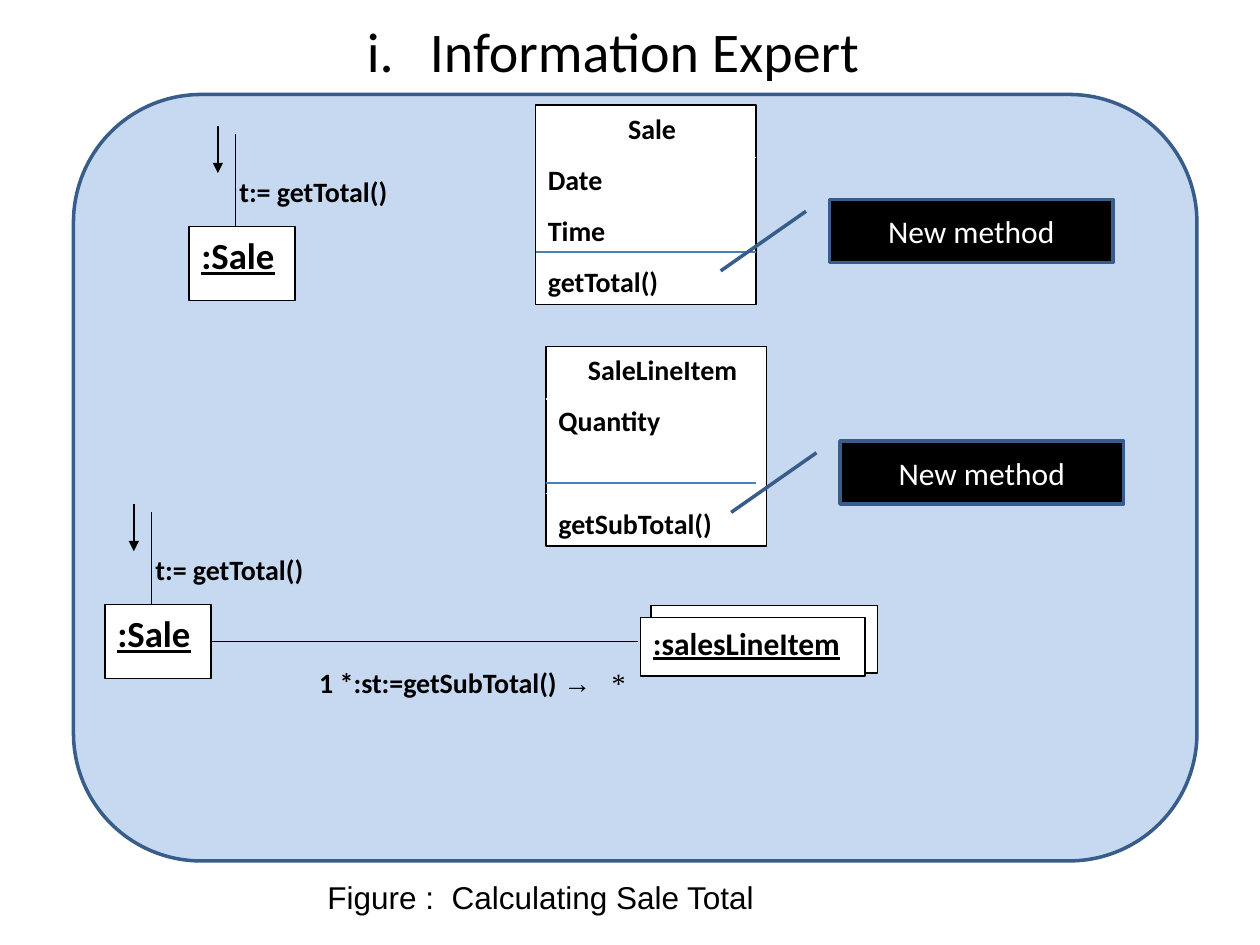
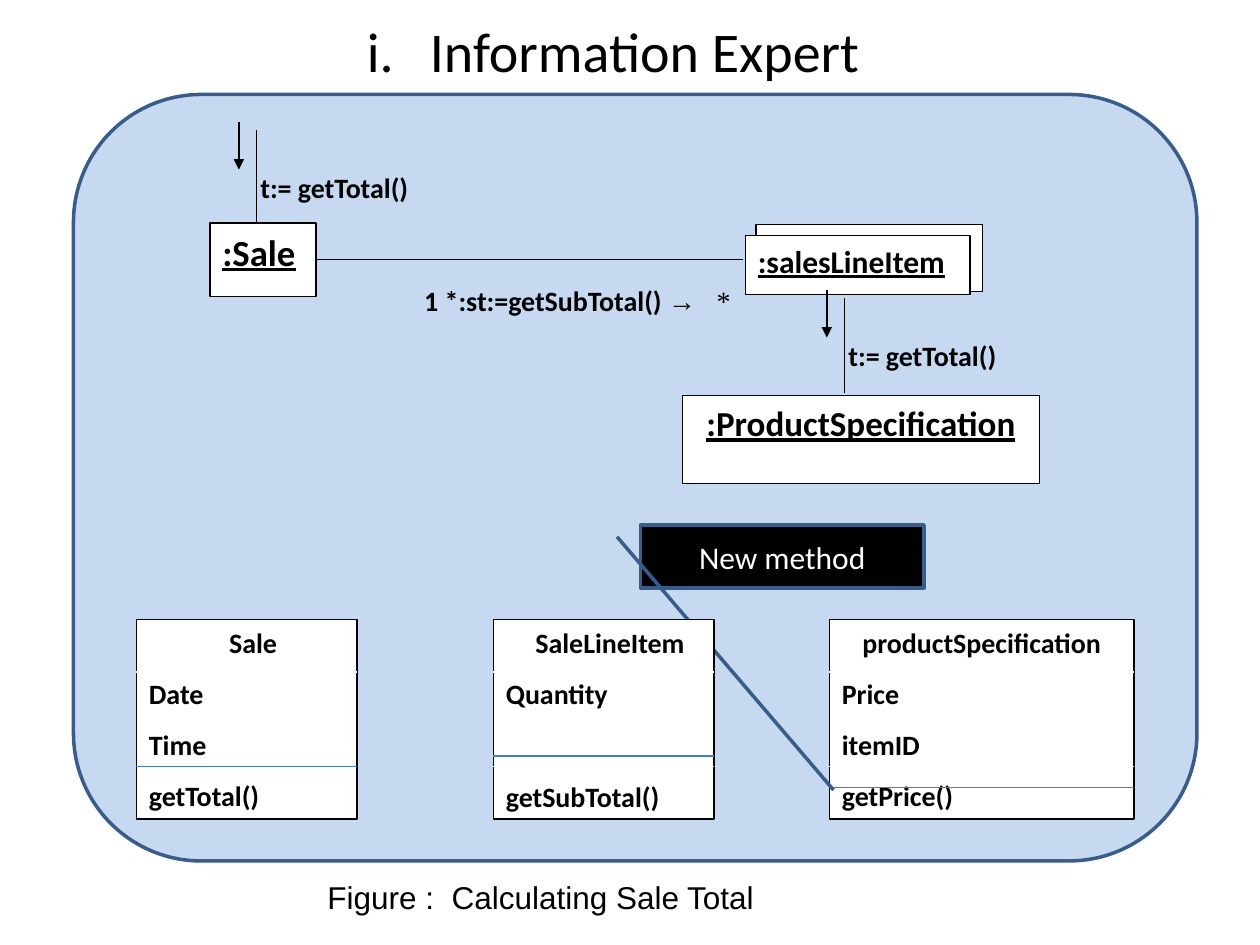
from pptx import Presentation, util as u
from pptx.dml.color import RGBColor
from pptx.enum import shapes as es, text as et
from pptx.oxml.ns import qn
from lxml import etree

COLS, ROWS = 120, 90
WIDE, HIGH = u.Inches(10), u.Inches(7.5)
INK, PAPER, PANEL, EDGE, RULE = "000000", "FFFFFF", "C6D9F1", "385D8A", "4A7EBB"
SANS = "Calibri"
LEFT, MID = et.PP_ALIGN.LEFT, et.PP_ALIGN.CENTER
TOP, CORE = et.MSO_ANCHOR.TOP, et.MSO_ANCHOR.MIDDLE
RECT = es.MSO_SHAPE.RECTANGLE
PAD = u.Inches(0.1)
GAP, STEP = 10, 29.5


def col(n):
    return round(WIDE * n / COLS)


def row(n):
    return round(HIGH * n / ROWS)


def area(x, y, w, h):
    return col(x), row(y), col(w), row(h)


def tint(code):
    return RGBColor.from_string(code)


def style(run, size, bold=False, line=False, face=SANS, color=INK):
    font = run.font
    font.name, font.size, font.bold, font.underline = face, u.Pt(size), bold, line
    font.color.rgb = tint(color)


def write(par, words, align=LEFT, after=GAP, **look):
    par.text = words
    par.alignment = align
    par.space_after = u.Pt(after)
    for run in par.runs:
        style(run, **look)


def frame(shape, left=PAD, anchor=TOP):
    box = shape.text_frame
    box.word_wrap = True
    box.vertical_anchor = anchor
    box.margin_left = left
    return box


def block(page, x, y, w, h, kind=RECT, fill=PAPER, edge=INK, width=0.75):
    shape = page.shapes.add_shape(kind, *area(x, y, w, h))
    shape.shadow.inherit = False
    shape.fill.solid()
    shape.fill.fore_color.rgb = tint(fill)
    shape.line.color.rgb = tint(edge)
    shape.line.width = u.Pt(width)
    return shape


def line(page, x, y, x2, y2, color=INK, width=0.75, arrow=False):
    link = page.shapes.add_connector(
        es.MSO_CONNECTOR.STRAIGHT, col(x), row(y), col(x2), row(y2))
    link.line.color.rgb = tint(color)
    link.line.width = u.Pt(width)
    if arrow:
        etree.SubElement(link.line._get_or_add_ln(), qn("a:tailEnd"), type="triangle")
    etree.SubElement(link._element.spPr, qn("a:effectLst"))
    return link


def label(page, x, y, w, h, left=PAD):
    return frame(page.shapes.add_textbox(*area(x, y, w, h)), left)


def entity(page, x, y, w, h, name, size, align=LEFT):
    shape = block(page, x, y, w, h)
    write(frame(shape).paragraphs[0], name, align, size=size, bold=True, line=True)
    return shape


def call(page, x, y):
    line(page, x + 1.7, y + 0.75, x + 1.7, y + 9.75)
    box = label(page, x + 0.25, y + 4, 20, 3.75, u.Inches(0.15))
    write(box.paragraphs[0], "t:= getTotal()", size=16, bold=True)
    line(page, x, y, x, y + 4.5, width=1, arrow=True)


def sale(page, x, y):
    call(page, x + 2.75, y - 9.6)
    return entity(page, x, y, 10.1, 7, ":Sale", 21)


def chain(page, x, y):
    block(page, x + 52, y + 0.1, 21.6, 6.4)
    start = sale(page, x, y)
    entity(page, x + 51, y + 1.2, 21.4, 5.6, ":salesLineItem", 18)
    link = line(page, x + 10.1, y + 3.5, x + 50.75, y + 3.5)
    link.begin_connect(start, 3)
    par = label(page, x + 18, y + 5.2, 33, 5, u.Inches(0.2)).paragraphs[0]
    par.space_after = u.Pt(GAP)
    parts = (("1 *:st:=getSubTotal() ", SANS, True), ("→\t", "Arial", True),
             ("*", "Times New Roman", False))
    for words, face, bold in parts:
        run = par.add_run()
        run.text = words
        style(run, 16, bold, face=face)
    tabs = etree.SubElement(par._p.get_or_add_pPr(), qn("a:tabLst"))
    etree.SubElement(tabs, qn("a:tab"), pos=str(u.Inches(2.32)), algn="l")


def model(page, x, y, name, fields, method, rule, w=21, span=None, shift=0.1):
    box = frame(block(page, x, y, w, 19))
    look = dict(size=16, bold=True)
    write(box.paragraphs[0], name, MID, **look)
    box.paragraphs[0]._p.get_or_add_pPr().set("marL", str(u.Inches(shift)))
    for field in fields:
        last = field == fields[-1]
        after = GAP + STEP * (2 - len(fields)) * last
        write(box.add_paragraph(), field, after=after, **look)
    write(box.add_paragraph(), method, **look)
    for drop in (5, 14):
        line(page, x, y + drop, x + w, y + drop, PAPER)
    line(page, x, y + rule, x + (span or w), y + rule, RULE)


def sold(page, x, y):
    model(page, x, y, "Sale", ("Date", "Time"), "getTotal()", 14)


def item(page, x, y, span=None):
    model(page, x, y, "SaleLineItem", ("Quantity",), "getSubTotal()", 13, span=span)


def note(page, x, y, drop=1.134, reach=-0.384):
    shape = block(page, x, y, 27, 6, es.MSO_SHAPE.LINE_CALLOUT_1, INK, EDGE, 2)
    for i, share in enumerate((0.188, -0.083, drop, reach)):
        shape.adjustments[i] = share
    par = frame(shape, anchor=CORE).paragraphs[0]
    write(par, "New method", MID, 0, size=18, color=PAPER)


def base(deck):
    page = deck.slides.add_slide(deck.slide_layouts[5])
    block(page, 7, 9, 107, 73, es.MSO_SHAPE.ROUNDED_RECTANGLE, PANEL, EDGE, 2)
    title = page.shapes.title
    title.left, title.top, title.width, title.height = area(17, 1, 84, 15)
    page.shapes._spTree.append(title._element)
    box = frame(title)
    box.auto_size = et.MSO_AUTO_SIZE.NONE
    box.margin_right = u.Inches(0.2)
    write(box.paragraphs[0], "i.\tInformation Expert", MID, 0, size=32)
    box.paragraphs[0].space_before = u.Pt(8)
    foot = label(page, 30, 83, 69, 4.8)
    write(foot.paragraphs[0], "Figure :  Calculating Sale Total", after=0,
          size=18, face="Arial")
    return page


def total(deck):
    page = base(deck)
    sale(page, 18, 21.6)
    sold(page, 51, 10)
    note(page, 79, 19)
    chain(page, 10, 57.6)
    item(page, 52, 33, span=20)
    note(page, 80, 42)


def price(deck):
    page = base(deck)
    model(page, 79, 59, "productSpecification", ("Price", "itemID"),
          "getPrice()", 16, w=29, shift=0)
    note(page, 61, 50, 4.208, 0.681)
    chain(page, 20, 21.25)
    entity(page, 65, 37.65, 34, 8.4, ":ProductSpecification", 20, MID)
    call(page, 78.75, 27.65)
    sold(page, 13, 59)
    item(page, 47, 59)


def main():
    deck = Presentation()
    deck.slide_width, deck.slide_height = WIDE, HIGH
    total(deck)
    price(deck)
    deck.save("out.pptx")


if __name__ == "__main__":
    main()
